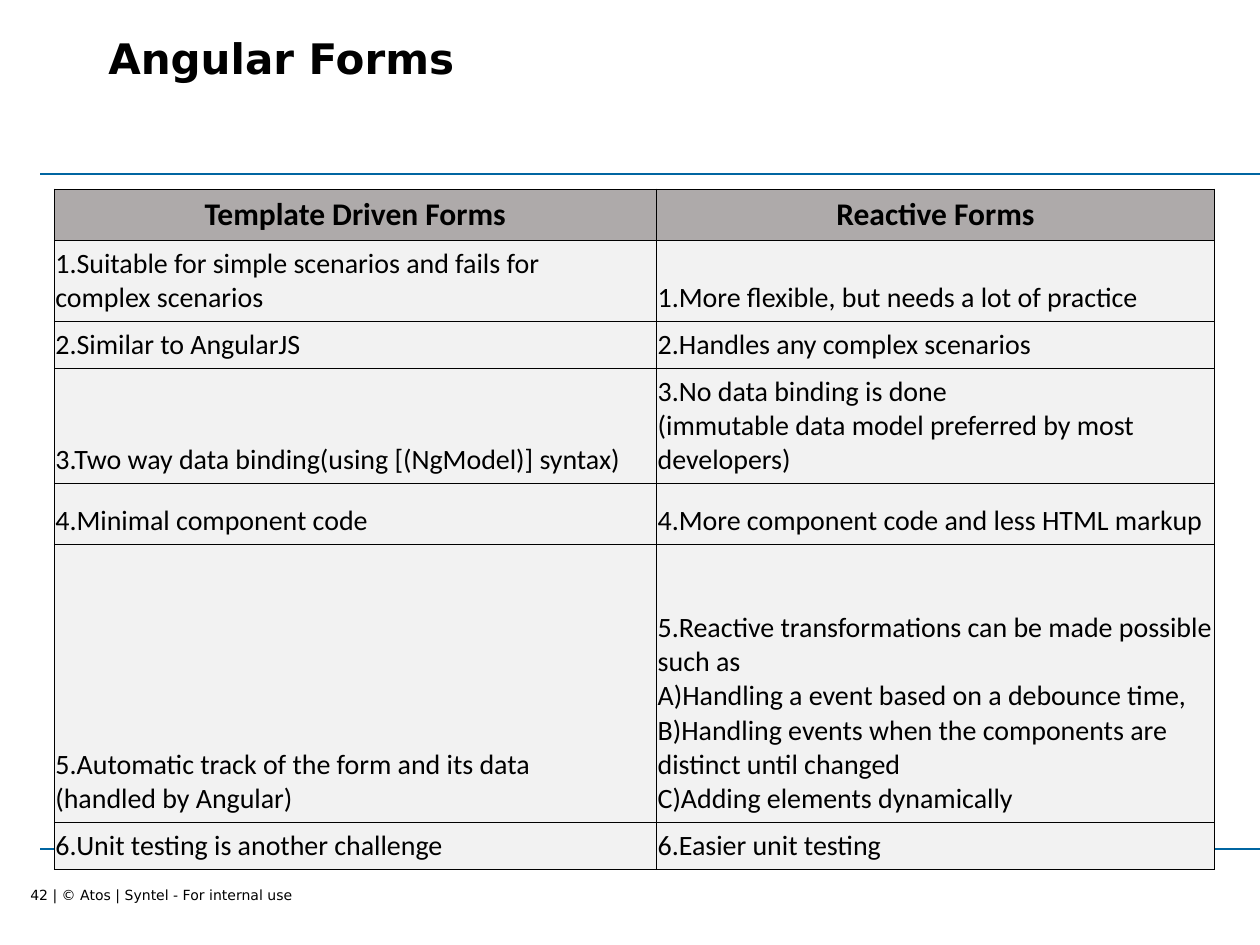
"""Build the slide comparing template driven and reactive Angular forms."""
from lxml import etree
from pptx import Presentation
from pptx.dml.color import RGBColor
from pptx.enum import shapes, text
from pptx.oxml.ns import qn
from pptx.util import Inches, Pt


def color(value):
    return RGBColor.from_string(value)


def write(para, content, size, font, bold=False):
    for index, line in enumerate(content.split("\n")):
        if index:
            para.add_line_break()
        span = para.add_run()
        span.text = line
        span.font.size = Pt(size)
        span.font.name = font
        span.font.bold = bold
        span.font.color.rgb = color("000000")


deck = Presentation()
deck.slide_width, deck.slide_height = Inches(10), Inches(7.5)
page = deck.slides.add_slide(deck.slide_layouts[5])

footer = page.shapes.add_textbox(Inches(0.24), Inches(7.03), Inches(2.41), Inches(0.15))
title = page.shapes.title
title.left, title.top = Inches(0.86), Inches(0.21)
title.width, title.height = Inches(9.14), Inches(0.71)
for box, content, size, inset, anchor, wrap in [
    (footer, "42 | © Atos | Syntel - For internal use", 8, 0, text.MSO_ANCHOR.MIDDLE, False),
    (title, "Angular Forms", 24, 0.05, text.MSO_ANCHOR.TOP, True),
]:
    frame = box.text_frame
    frame.margin_left = frame.margin_right = 0
    frame.margin_top = frame.margin_bottom = Inches(inset)
    frame.vertical_anchor = anchor
    frame.word_wrap = wrap
    frame.auto_size = text.MSO_AUTO_SIZE.NONE
    para = frame.paragraphs[0]
    para.alignment = text.PP_ALIGN.LEFT
    write(para, content, size, "DejaVu Sans", bold=box is title)

for left in (0.32, 0.36):
    for top in (1.38, 6.74):
        rule = page.shapes.add_connector(
            shapes.MSO_CONNECTOR.STRAIGHT, Inches(left), Inches(top), Inches(10), Inches(top))
        rule.line.color.rgb = color("0065A1")
        rule.line.width = Pt(1.25)
        etree.SubElement(rule.element.spPr, qn("a:effectLst"))

comparison = [
    ("Template Driven Forms", "Reactive Forms"),
    ("1.Suitable for simple scenarios and fails for \ncomplex scenarios",
     "1.More flexible, but needs a lot of practice"),
    ("2.Similar to AngularJS", "2.Handles any complex scenarios"),
    ("3.Two way data binding(using [(NgModel)] syntax)",
     "3.No data binding is done \n(immutable data model preferred by most developers)"),
    ("4.Minimal component code", "4.More component code and less HTML markup"),
    ("5.Automatic track of the form and its data\n(handled by Angular)",
     "5.Reactive transformations can be made possible such as \n"
     "A)Handling a event based on a debounce time,\n"
     "B)Handling events when the components are distinct until changed \n"
     "C)Adding elements dynamically"),
    ("6.Unit testing is another challenge", "6.Easier unit testing"),
]
widths = [4.78, 4.43]
heights = [0.31, 0.58, 0.29, 0.81, 0.48, 2.21, 0.3]
table = page.shapes.add_table(
    len(heights), len(widths), Inches(0.43), Inches(1.5),
    Inches(sum(widths)), Inches(sum(heights))).table
table.first_row = table.horz_banding = False
for column, width in zip(table.columns, widths):
    column.width = Inches(width)

for r, (height, entries) in enumerate(zip(heights, comparison)):
    table.rows[r].height = Inches(height)
    header = r == 0
    for c, entry in enumerate(entries):
        cell = table.cell(r, c)
        cell.margin_left = cell.margin_right = Inches(0.01)
        cell.margin_top = cell.margin_bottom = Inches(0.05)
        cell.vertical_anchor = text.MSO_ANCHOR.BOTTOM
        outer = {"L": c == 0, "R": c == len(widths) - 1,
                 "T": header, "B": r == len(heights) - 1}
        properties = cell._tc.get_or_add_tcPr()
        for side, is_outer in outer.items():
            border = etree.SubElement(
                properties, qn(f"a:ln{side}"), w=str(Pt(0.45 if is_outer else 0.23)))
            paint = etree.SubElement(border, qn("a:solidFill"))
            etree.SubElement(paint, qn("a:srgbClr"), val="000000")
        cell.fill.solid()
        cell.fill.fore_color.rgb = color("AEAAAA" if header else "F2F2F2")
        para = cell.text_frame.paragraphs[0]
        para.alignment = text.PP_ALIGN.CENTER if header else text.PP_ALIGN.LEFT
        write(para, entry, 18 if header else 16, "Calibri", bold=header)

deck.save("out.pptx")
